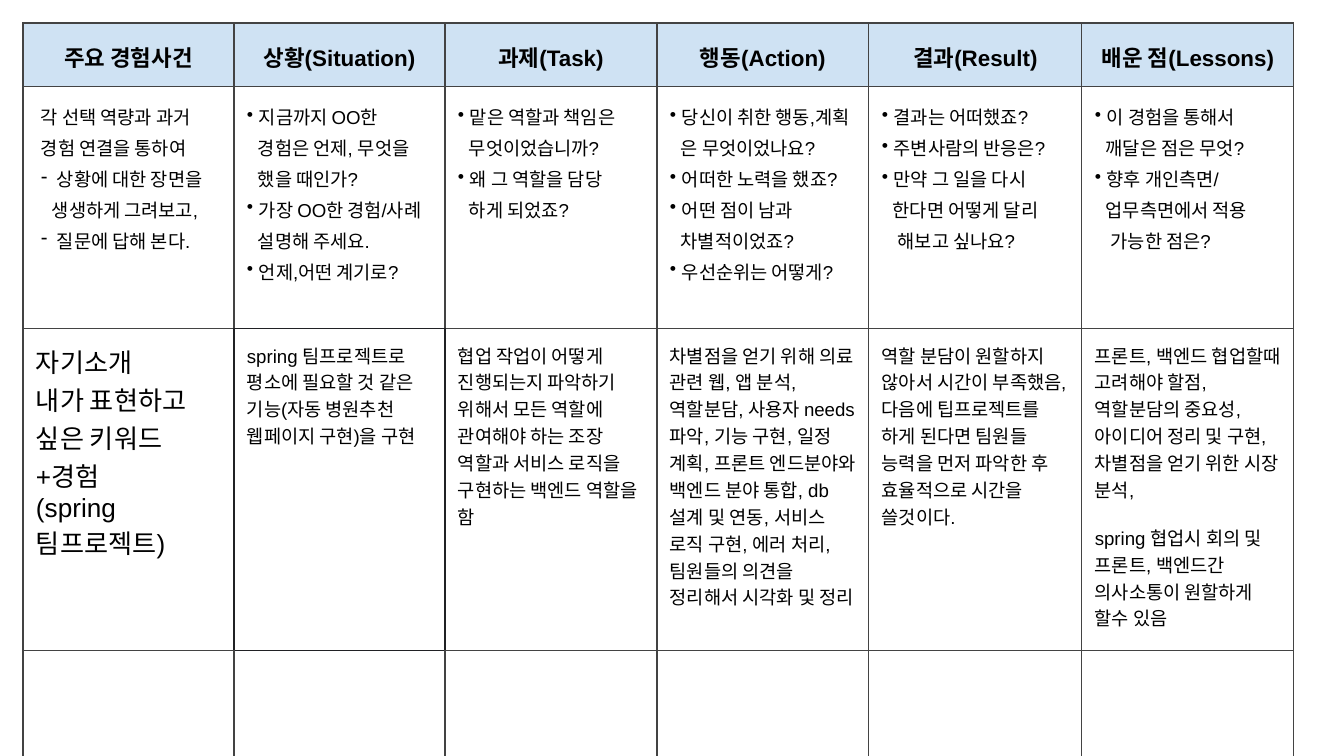
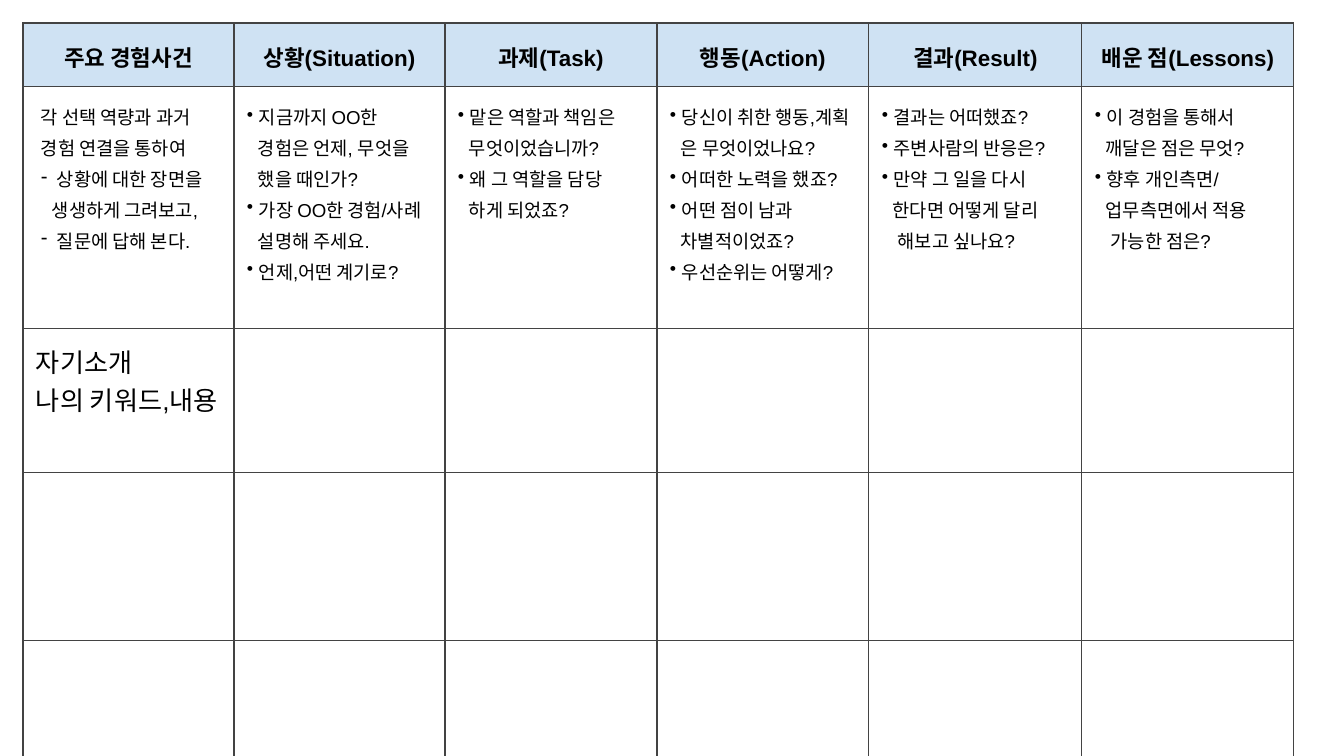
from dataclasses import dataclass

from lxml import etree
from pptx import Presentation
from pptx import util as u
from pptx.dml.color import RGBColor
from pptx.enum import text
from pptx.oxml.ns import qn

EMU_PER_PX = 914400 / 134.4
FONT = "Arial"
COLORS = {"text": "000000", "header": "CFE2F3", "grid": "434343", "focus": "202124"}

TABLE_LEFT, TABLE_TOP = 23, 23
COLUMN_WIDTHS = [211, 211, 212, 212, 213, 212]
ROW_HEIGHTS = [46, 177, 144, 168, 129]
CELL_MARGIN = 13
GUIDE_SPACING = 1.15
FOCUS_CELL = (2, 1)


@dataclass
class Line:
    """One paragraph; indent, hang and gap (space before) are in px."""
    text: str
    mark: str = ""
    indent: int = 0
    hang: int = 0
    gap: int = 0


def bullet(words):
    return Line(words, "•", 12, 12)


def dash(words):
    return Line(words, "-", 21, 16)


def follow(words, indent=11):
    return Line(words, indent=indent)


HEADERS = ["주요 경험사건", "상황(Situation)", "과제(Task)",
           "행동(Action)", "결과(Result)", "배운 점(Lessons)"]

GUIDES = [
    [follow("각 선택 역량과 과거", 5), follow("경험 연결을 통하여", 5),
     dash("상황에 대한 장면을"), follow("생생하게 그려보고,", 16),
     dash("질문에 답해 본다.")],
    [bullet("지금까지 OO한"), follow("경험은 언제, 무엇을"), follow("했을 때인가?"),
     bullet("가장 OO한 경험/사례"), follow("설명해 주세요."),
     bullet("언제,어떤 계기로?")],
    [bullet("맡은 역할과 책임은"), follow("무엇이었습니까?"),
     bullet("왜 그 역할을 담당"), follow("하게 되었죠?")],
    [bullet("당신이 취한 행동,계획"), follow("은 무엇이었나요?"),
     bullet("어떠한 노력을 했죠?"), bullet("어떤 점이 남과"),
     follow("차별적이었죠?"), bullet("우선순위는 어떻게?")],
    [bullet("결과는 어떠했죠?"), bullet("주변사람의 반응은?"),
     bullet("만약 그 일을 다시"), follow("한다면 어떻게 달리"),
     follow("해보고 싶나요?", 16)],
    [bullet("이 경험을 통해서"), follow("깨달은 점은 무엇?"),
     bullet("향후 개인측면/"), follow("업무측면에서 적용"),
     follow("가능한 점은?", 16)],
]

PROJECT_TOPIC = [Line("자기소개"), Line("내가 표현하고 싶은 키워드+경험"),
                 Line("(spring 팀프로젝트)")]
PROJECT_ANSWERS = [
    [Line("spring 팀프로젝트로 평소에 필요할 것 같은 기능(자동 병원추천 "
          "웹페이지 구현)을 구현")],
    [Line("협업 작업이 어떻게 진행되는지 파악하기 위해서 모든 역할에 관여해야 "
          "하는 조장 역할과 서비스 로직을 구현하는 백엔드 역할을 함")],
    [Line("차별점을 얻기 위해 의료 관련 웹, 앱 분석,"),
     Line("역할분담, 사용자 needs 파악, 기능 구현, 일정 계획, 프론트 엔드분야와 "
          "백엔드 분야 통합, db 설계 및 연동, 서비스 로직 구현, 에러 처리, "
          "팀원들의 의견을 정리해서 시각화 및 정리")],
    [Line("역할 분담이 원할하지 않아서 시간이 부족했음, 다음에 팁프로젝트를 하게 "
          "된다면 팀원들 능력을 먼저 파악한 후 효율적으로 시간을 쓸것이다.")],
    [Line("프론트, 백엔드 협업할때 고려해야 할점, 역할분담의 중요성, 아이디어 "
          "정리 및 구현, 차별점을 얻기 위한 시장 분석,"),
     Line("spring 협업시 회의 및 프론트, 백엔드간 의사소통이 원할하게 할수 있음",
          gap=21)],
]
KEYWORD_TOPIC = [Line("자기소개"), Line("나의 키워드,내용")]


def px(length):
    return u.Emu(round(length * EMU_PER_PX))


def format_line(para, line, size, bold, spacing, align):
    para.text = line.text
    para.alignment = align
    if spacing:
        para.line_spacing = spacing
    if line.gap:
        para.space_before = px(line.gap)
    font = para.font
    font.name, font.size, font.bold = FONT, u.Pt(size), bold
    font.color.rgb = RGBColor.from_string(COLORS["text"])

    props = para._p.get_or_add_pPr()
    props.set("marL", str(px(line.indent)))
    props.set("indent", str(px(-line.hang)))
    props.set("hangingPunct", "0")
    if line.mark:
        mark = etree.Element(qn("a:buChar"), char=line.mark)
    else:
        mark = etree.Element(qn("a:buNone"))
    props.find(qn("a:defRPr")).addprevious(mark)


def write_cell(cell, lines, size=10, bold=False, spacing=None,
               align=text.PP_ALIGN.LEFT):
    frame = cell.text_frame
    for index, line in enumerate(lines):
        para = frame.add_paragraph() if index else frame.paragraphs[0]
        format_line(para, line, size, bold, spacing, align)


def set_borders(cell, colors):
    """Draw the left, right, top and bottom edges in the given colours."""
    props = cell._tc.get_or_add_tcPr()
    for side, color in zip("LRTB", colors):
        edge = etree.SubElement(props, qn(f"a:ln{side}"), w=str(u.Pt(0.75)))
        fill = etree.SubElement(edge, qn("a:solidFill"))
        etree.SubElement(fill, qn("a:srgbClr"), val=color)


def edge_colors(row, column, has_focus):
    """Edges shared with the focus cell take the darker colour."""
    neighbours = [(row, column - 1), (row, column + 1),
                  (row - 1, column), (row + 1, column)]
    return [COLORS["focus" if has_focus and FOCUS_CELL in ((row, column), other)
                   else "grid"] for other in neighbours]


def style_cell(cell, row, column, has_focus):
    cell.margin_left = cell.margin_right = px(CELL_MARGIN)
    cell.margin_top = cell.margin_bottom = px(CELL_MARGIN)
    set_borders(cell, edge_colors(row, column, has_focus))
    if row == 0:
        cell.fill.solid()
        cell.fill.fore_color.rgb = RGBColor.from_string(COLORS["header"])
    else:
        cell.fill.background()


def add_experience_table(page, topic, answers=(), has_focus=False):
    frame = page.shapes.add_table(
        len(ROW_HEIGHTS), len(COLUMN_WIDTHS), px(TABLE_LEFT), px(TABLE_TOP),
        px(sum(COLUMN_WIDTHS)), px(sum(ROW_HEIGHTS)))
    table = frame.table
    table.first_row = table.horz_banding = False
    for column, width in zip(table.columns, COLUMN_WIDTHS):
        column.width = px(width)
    for row, height in zip(table.rows, ROW_HEIGHTS):
        row.height = px(height)
    for row in range(len(ROW_HEIGHTS)):
        for column in range(len(COLUMN_WIDTHS)):
            style_cell(table.cell(row, column), row, column, has_focus)

    for column, (header, guide) in enumerate(zip(HEADERS, GUIDES)):
        write_cell(table.cell(0, column), [Line(header)], size=12, bold=True,
                   spacing=GUIDE_SPACING, align=text.PP_ALIGN.CENTER)
        write_cell(table.cell(1, column), guide, spacing=GUIDE_SPACING)
    write_cell(table.cell(2, 0), topic, size=14)
    for column, answer in enumerate(answers, start=1):
        write_cell(table.cell(2, column), answer)


def main():
    deck = Presentation()
    deck.slide_width, deck.slide_height = px(1344), px(756)
    blank = deck.slide_layouts[6]
    add_experience_table(deck.slides.add_slide(blank), PROJECT_TOPIC,
                         PROJECT_ANSWERS, has_focus=True)
    add_experience_table(deck.slides.add_slide(blank), KEYWORD_TOPIC)
    deck.save("out.pptx")


if __name__ == "__main__":
    main()
